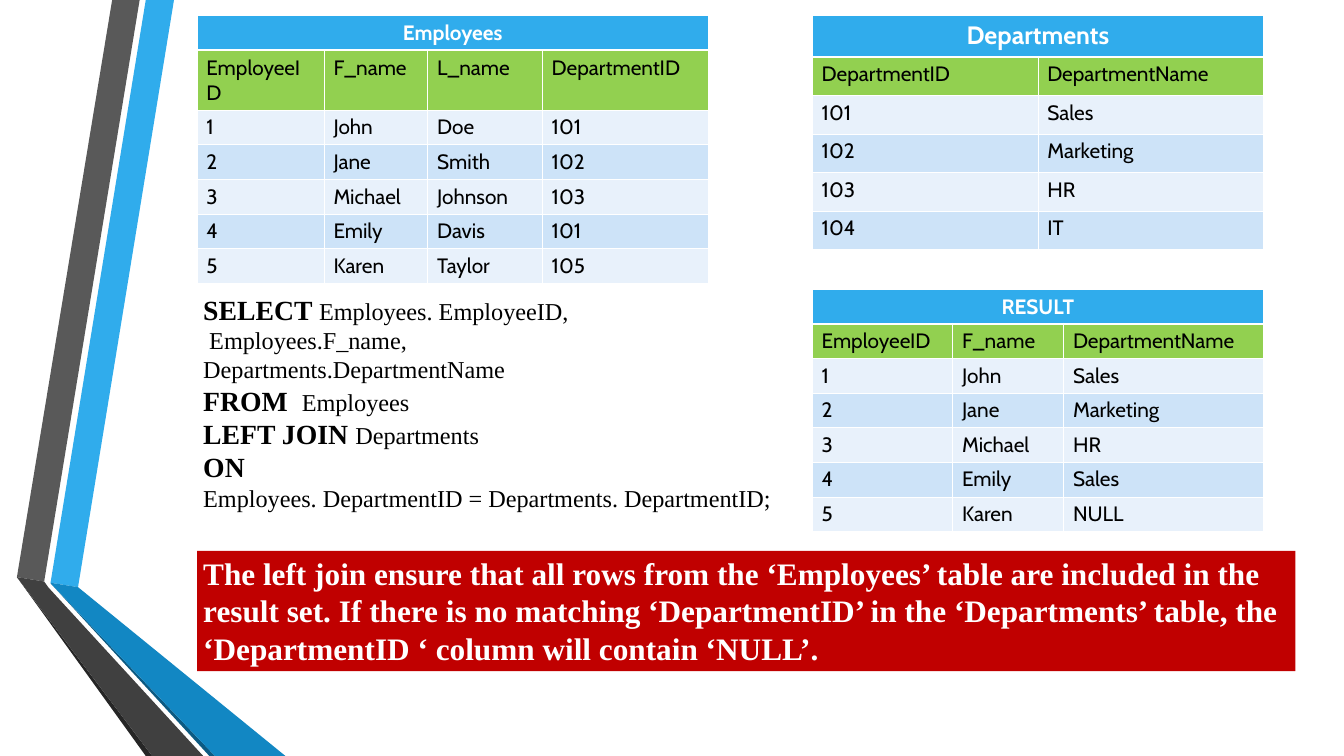
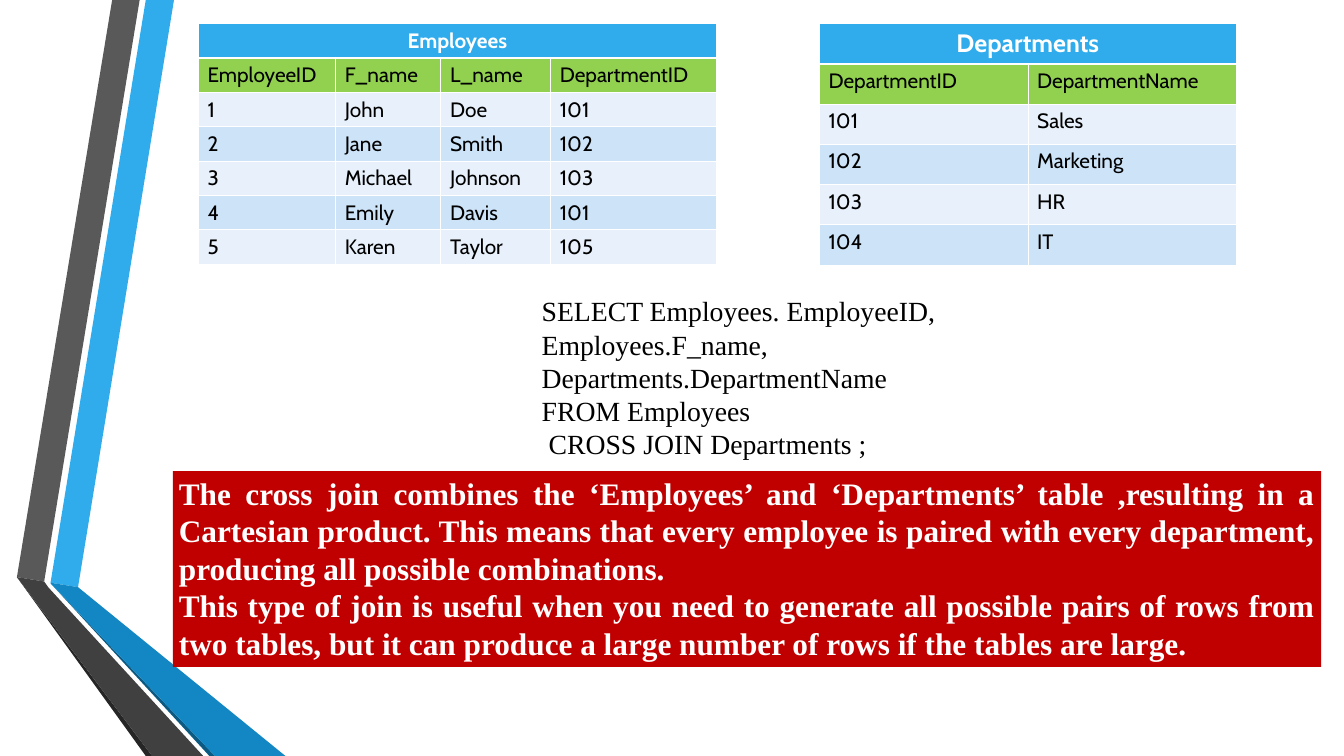
from lxml import etree
from pptx import Presentation
from pptx import util as u
from pptx.dml.color import RGBColor
from pptx.enum import shapes, text
from pptx.oxml.ns import qn

WHITE = RGBColor(0xFF, 0xFF, 0xFF)
BLACK = RGBColor(0x00, 0x00, 0x00)
BLUE = RGBColor(0x30, 0xAC, 0xEC)
MID_BLUE = RGBColor(0x12, 0x87, 0xC3)
DEEP_BLUE = RGBColor(0x0C, 0x5A, 0x82)
GREY = RGBColor(0x59, 0x59, 0x59)
DARK_GREY = RGBColor(0x40, 0x40, 0x40)
NEAR_BLACK = RGBColor(0x26, 0x26, 0x26)
GREEN = RGBColor(0x92, 0xD0, 0x50)
BANDS = (RGBColor(0xE8, 0xF1, 0xFB), RGBColor(0xCD, 0xE3, 0xF8))
RED = RGBColor(0xC0, 0x00, 0x00)
SANS = "Cabin"
SERIF = "Times New Roman"
WIDTH, HEIGHT = 54.76, 30.81

RIBBONS = [
    (BLUE, [(2.06, 23.75), (3.18, 23.93), (7.09, 0), (5.94, 0)]),
    (GREY, [(5.69, 0), (4.57, 0), (0.69, 23.52), (1.8, 23.7)]),
    (NEAR_BLACK, [(0.69, 23.52), (5.94, HEIGHT), (6.2, HEIGHT)]),
    (DEEP_BLUE, [(2.06, 23.77), (8.53, HEIGHT), (8.76, HEIGHT)]),
    (MID_BLUE, [(2.06, 23.77), (8.76, HEIGHT), (11.63, HEIGHT), (3.18, 23.93), (2.06, 23.75)]),
    (DARK_GREY, [(8.28, HEIGHT), (1.98, 23.95), (1.8, 23.7), (0.69, 23.52), (6.2, HEIGHT)]),
]

EMPLOYEES = ("Employees", 24, [
    ("EmployeeID", "F_name", "L_name", "DepartmentID"),
    ("1", "John", "Doe", "101"),
    ("2", "Jane", "Smith", "102"),
    ("3", "Michael", "Johnson", "103"),
    ("4", "Emily", "Davis", "101"),
    ("5", "Karen", "Taylor", "105"),
])
DEPARTMENTS = ("Departments", 29, [
    ("DepartmentID", "DepartmentName"),
    ("101", "Sales"),
    ("102", "Marketing"),
    ("103", "HR"),
    ("104", "IT"),
])
RESULT = ("RESULT", 24, [
    ("EmployeeID", "F_name", "DepartmentName"),
    ("1", "John", "Sales"),
    ("2", "Jane", "Marketing"),
    ("3", "Michael", "HR"),
    ("4", "Emily", "Sales"),
    ("5", "Karen", "NULL"),
])

KEYWORD = {"size": 32, "bold": True}
NAME = {"size": 28}
LARGE = {"size": 32}

SLIDES = [
    {
        "tables": [
            (DEPARTMENTS, (33.1, 0.64), (9.19, 9.19), (1.68, 1.57, 1.57)),
            (EMPLOYEES, (8.03, 0.64), (5.18, 4.22, 4.67, 6.76), (1.4, 2.4, 1.4)),
            (RESULT, (33.1, 11.79), (5.72, 4.52, 8.13), (1.4, 1.4, 1.4)),
        ],
        "query": ((8.03, 11.79, 25.07, 9.32), [
            [("SELECT ", KEYWORD), ("Employees. EmployeeID,", NAME)],
            [(" Employees.F_name,", NAME)],
            [("Departments.DepartmentName", NAME)],
            [("FROM  ", KEYWORD), ("Employees", NAME)],
            [("LEFT JOIN ", KEYWORD), ("Departments", NAME)],
            [("ON", KEYWORD)],
            [("Employees. DepartmentID = Departments. DepartmentID;", NAME)],
        ]),
        "note": ((8.03, 22.45, 44.75, 4.9), text.PP_ALIGN.LEFT, [
            "The left join ensure that all rows from the ‘Employees’ table are included in the "
            "result set. If there is no matching ‘DepartmentID’ in the ‘Departments’ table, the "
            "‘DepartmentID ‘ column will contain ‘NULL’.",
        ]),
    },
    {
        "tables": [
            (DEPARTMENTS, (33.38, 0.97), (8.5, 8.5), (1.63, 1.64, 1.64)),
            (EMPLOYEES, (8.08, 0.97), (5.59, 4.29, 4.47, 6.76), (1.4, 1.4, 1.4)),
        ],
        "query": ((21.82, 11.86, 17.86, 7.09), [
            [("SELECT Employees. EmployeeID,", LARGE)],
            [("Employees.F_name,", LARGE)],
            [("Departments.DepartmentName", LARGE)],
            [("FROM Employees", LARGE)],
            [(" CROSS JOIN Departments ;", LARGE)],
        ]),
        "note": ((7.04, 19.2, 46.79, 7.98), text.PP_ALIGN.JUSTIFY, [
            "The cross join combines the ‘Employees’ and ‘Departments’ table ,resulting in a "
            "Cartesian product. This means that every employee is paired with every department, "
            "producing all possible combinations.",
            "This type of join is useful when you need to generate all possible pairs of rows "
            "from two tables, but it can produce a large number of rows if the tables are large.",
        ]),
    },
]


def lengths(values):
    return [u.Cm(value) for value in values]


def add_text(paragraph, content, size=24, font=SERIF, color=BLACK, bold=False, align=None):
    run = paragraph.add_run()
    run.text = content
    run.font.size = u.Pt(size)
    run.font.name = font
    run.font.color.rgb = color
    run.font.bold = bold
    if align is not None:
        paragraph.alignment = align


def add_paragraphs(frame, count):
    return [frame.paragraphs[0]] + [frame.add_paragraph() for _ in range(count - 1)]


def paint(shape, color):
    shape.shadow.inherit = False
    shape.fill.solid()
    shape.fill.fore_color.rgb = color
    shape.line.fill.background()


def add_ribbons(slide):
    layout = slide.slide_layout
    for placeholder in list(layout.placeholders):
        layout.shapes.element.remove(placeholder.element)
    for color, points in RIBBONS:
        corners = [lengths(point) for point in points]
        builder = slide.shapes.build_freeform(*corners[0], scale=1.0)
        builder.add_line_segments(corners[1:], close=True)
        ribbon = builder.convert_to_shape()
        paint(ribbon, color)
        layout.shapes.element.append(ribbon.element)


def format_cell(cell, color, bottom=1):
    properties = cell._tc.get_or_add_tcPr()
    for side, width in (("L", 1), ("R", 1), ("T", 1), ("B", bottom)):
        line = etree.SubElement(properties, qn(f"a:ln{side}"), w=str(u.Pt(width)))
        fill = etree.SubElement(line, qn("a:solidFill"))
        etree.SubElement(fill, qn("a:srgbClr"), val=str(WHITE))
    cell.fill.solid()
    cell.fill.fore_color.rgb = color
    cell.margin_left = cell.margin_right = u.Cm(0.38)
    cell.margin_top = cell.margin_bottom = u.Cm(0.19)


def add_data_table(slide, data, position, widths, heights):
    title, title_size, rows = data
    title_height, header_height, body_height = heights
    row_heights = [title_height, header_height] + [body_height] * (len(rows) - 1)
    frame = slide.shapes.add_table(len(row_heights), len(widths), *lengths(position),
                                   u.Cm(sum(widths)), u.Cm(sum(row_heights)))
    table = frame.table
    table.horz_banding = False
    for column, width in zip(table.columns, lengths(widths)):
        column.width = width
    for row, height in zip(table.rows, lengths(row_heights)):
        row.height = height
    for cell in table.rows[0].cells:
        format_cell(cell, BLUE, bottom=3)
    table.cell(0, 0).merge(table.cell(0, len(widths) - 1))
    add_text(table.cell(0, 0).text_frame.paragraphs[0], title, size=title_size, font=SANS,
             color=WHITE, bold=True, align=text.PP_ALIGN.CENTER)
    for index, values in enumerate(rows):
        color = BANDS[(index - 1) % 2] if index else GREEN
        for column, value in enumerate(values):
            cell = table.cell(index + 1, column)
            format_cell(cell, color)
            add_text(cell.text_frame.paragraphs[0], value, font=SANS)


def add_query(slide, box, lines):
    frame = slide.shapes.add_textbox(*lengths(box)).text_frame
    frame.word_wrap = True
    for paragraph, runs in zip(add_paragraphs(frame, len(lines)), lines):
        for content, style in runs:
            add_text(paragraph, content, **style)


def add_note(slide, box, align, notes):
    shape = slide.shapes.add_shape(shapes.MSO_SHAPE.RECTANGLE, *lengths(box))
    paint(shape, RED)
    frame = shape.text_frame
    frame.word_wrap = True
    frame.vertical_anchor = text.MSO_ANCHOR.TOP
    for paragraph, note in zip(add_paragraphs(frame, len(notes)), notes):
        add_text(paragraph, note, size=36.1, color=WHITE, bold=True, align=align)


def main():
    presentation = Presentation()
    presentation.slide_width, presentation.slide_height = lengths((WIDTH, HEIGHT))
    blank = presentation.slide_layouts[6]
    for number, content in enumerate(SLIDES):
        slide = presentation.slides.add_slide(blank)
        if number == 0:
            add_ribbons(slide)
        for table in content["tables"]:
            add_data_table(slide, *table)
        add_query(slide, *content["query"])
        add_note(slide, *content["note"])
    presentation.save("out.pptx")


if __name__ == "__main__":
    main()
